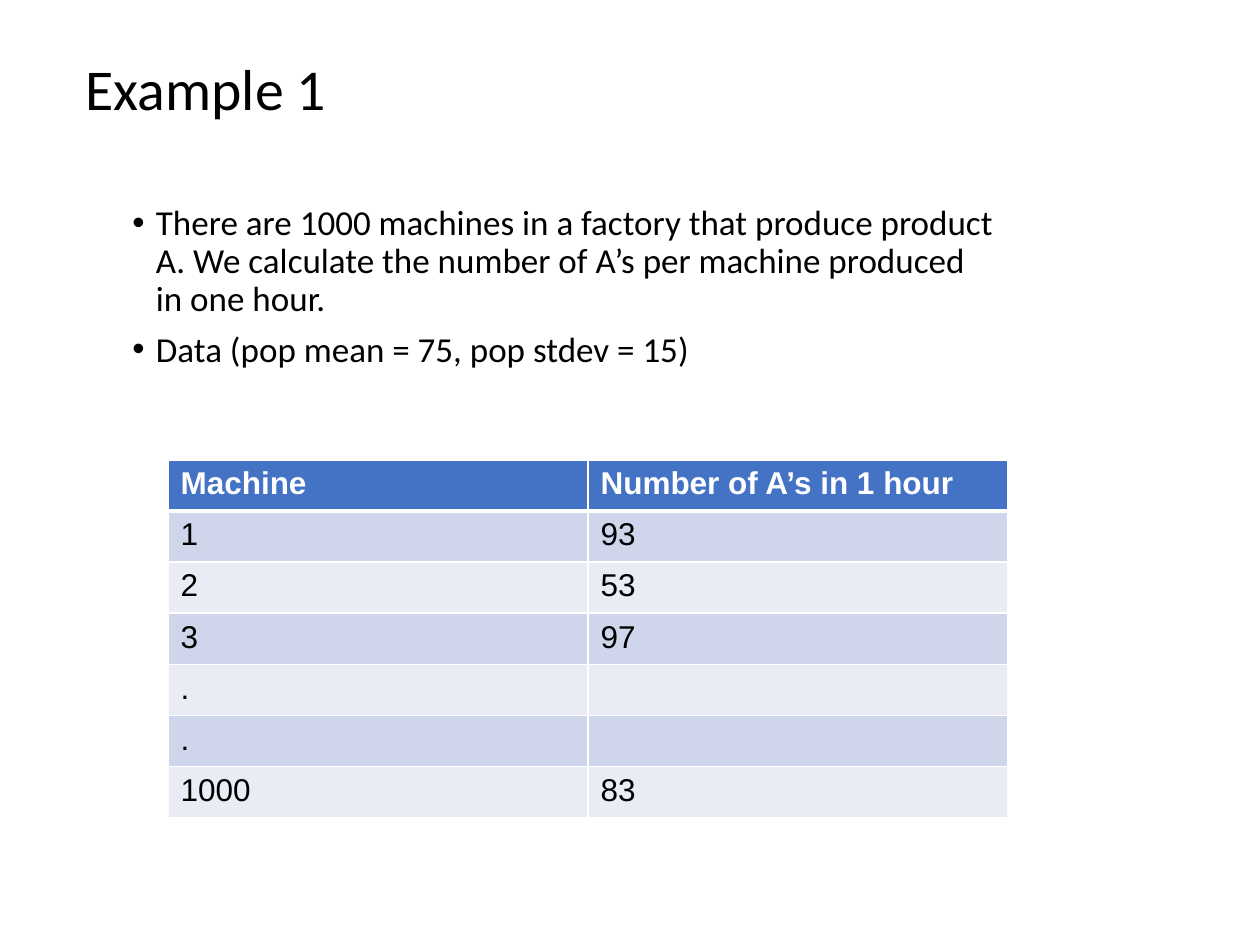
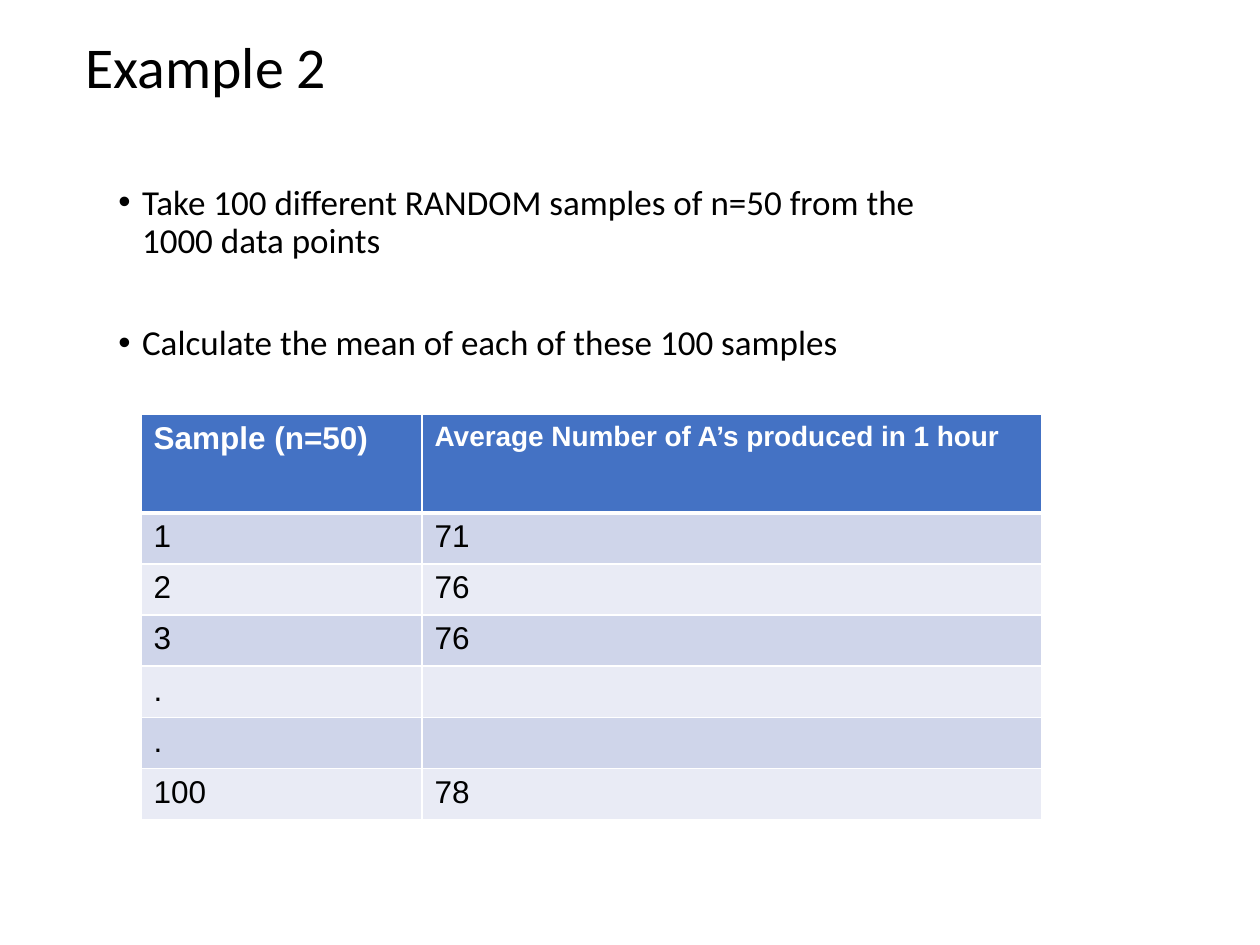
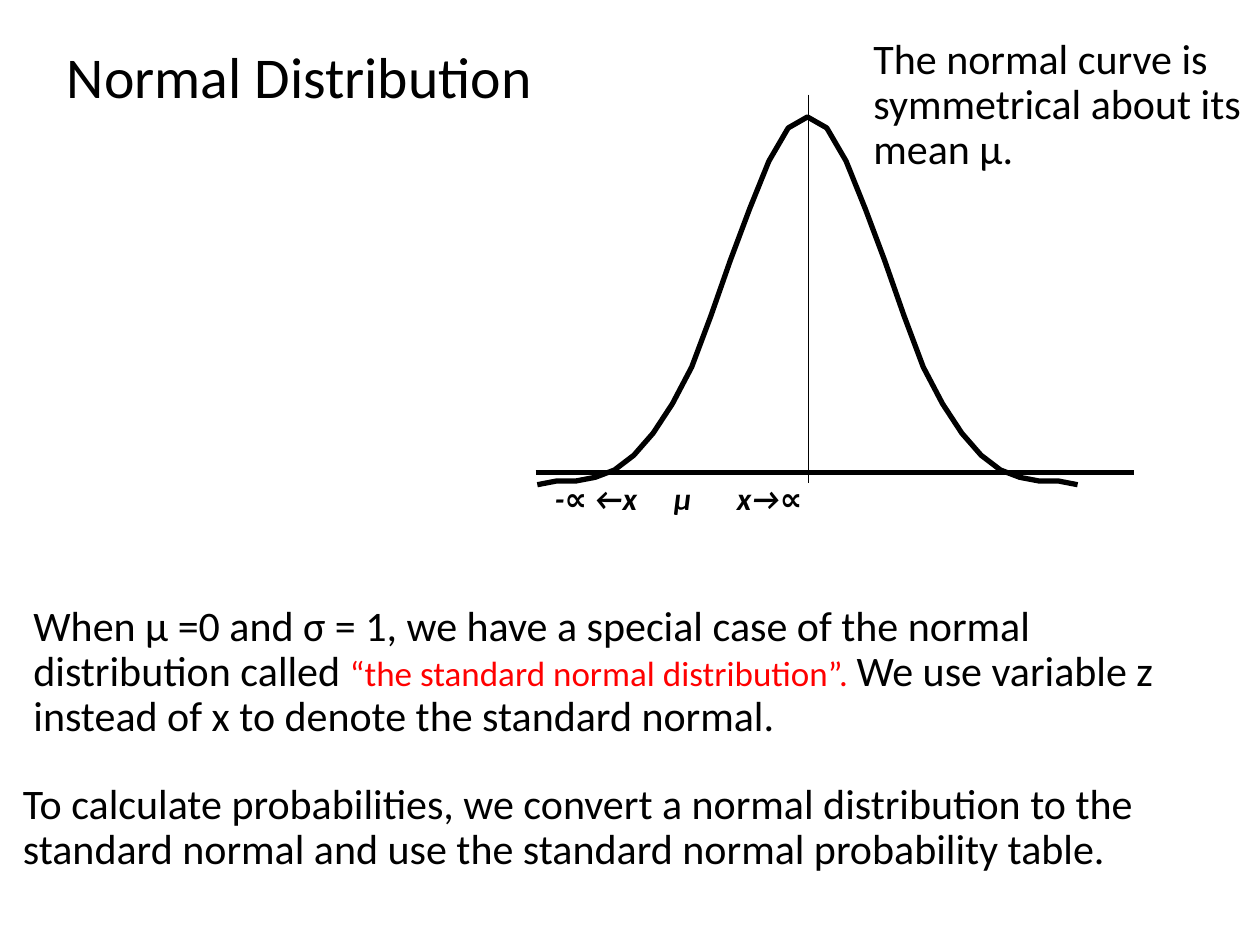
from dataclasses import dataclass

from lxml import etree
from pptx import Presentation
from pptx.chart.data import XyChartData
from pptx.dml.color import RGBColor
from pptx.enum.chart import XL_CHART_TYPE
from pptx.enum.shapes import MSO_CONNECTOR
from pptx.enum.text import MSO_ANCHOR, MSO_AUTO_SIZE, PP_ALIGN
from pptx.oxml import parse_xml
from pptx.oxml.ns import nsdecls, qn
from pptx.util import Pt

SMOOTH = XL_CHART_TYPE.XY_SCATTER_SMOOTH_NO_MARKERS
STRAIGHT = MSO_CONNECTOR.STRAIGHT
MIDDLE, TOP = MSO_ANCHOR.MIDDLE, MSO_ANCHOR.TOP
FIXED = MSO_AUTO_SIZE.NONE
LEFT = PP_ALIGN.LEFT


@dataclass(frozen=True)
class Theme:
    ink: str = "000000"
    paper: str = "FFFFFF"
    accent: str = "FF0000"
    header: str = "4472C4"
    bands: tuple = ("CFD5EA", "E9EBF5")
    font: str = "Calibri"
    grid_font: str = "Arial"
    title: float = 33
    note: float = 24
    body: float = 20
    cell: float = 18
    small: float = 16
    axis: float = 10
    leading: float = 0.9


THEME = Theme()


def write(para, text, size=THEME.body, color=THEME.ink, font=THEME.font,
          bold=False, slant=False):
    run = para.add_run()
    run.text = text
    style = run.font
    style.size, style.name = Pt(size), font
    style.bold, style.italic = bold, slant
    style.color.rgb = RGBColor.from_string(color)


def place(shape, left, top, width, height):
    shape.left, shape.top = Pt(left), Pt(top)
    shape.width, shape.height = Pt(width), Pt(height)


def frame(shape, anchor=TOP):
    box = shape.text_frame
    box.word_wrap = True
    box.auto_size = FIXED
    box.vertical_anchor = anchor
    return box


def space(para, before=0):
    para.alignment = LEFT
    para.line_spacing = THEME.leading
    para.space_before = Pt(before)


def title(slide, text, left, top):
    shape = slide.shapes.title
    place(shape, left, top, 572.4, 104.4)
    para = frame(shape, MIDDLE).paragraphs[0]
    space(para)
    write(para, text, size=THEME.title)


def bullets(slide, items, left, top):
    shape = slide.placeholders[1]
    place(shape, left, top, 507.6, 342.7)
    box = frame(shape)
    for i, (text, before) in enumerate(items):
        para = box.add_paragraph() if i else box.paragraphs[0]
        space(para, before)
        props = para._p.get_or_add_pPr()
        props.set("marL", str(Pt(13.5)))
        props.set("indent", str(-Pt(13.5)))
        write(para, text)


def note(slide, parts, left, top, width):
    shape = slide.shapes.add_textbox(Pt(left), Pt(top), Pt(width), Pt(84))
    para = frame(shape).paragraphs[0]
    space(para, 4.8)
    for text, look in parts:
        write(para, text, **look)


def edge(cell, **widths):
    props = cell._tc.get_or_add_tcPr()
    for side in "LRTB":
        props.append(parse_xml(
            f'<a:ln{side} {nsdecls("a")} w="{Pt(widths.get(side, 1))}"><a:solidFill>'
            f'<a:srgbClr val="{THEME.paper}"/></a:solidFill></a:ln{side}>'))


def table(slide, rows, left, top, widths, head=29.2, sizes=(THEME.cell, THEME.cell)):
    step = 29.2
    height = head + step * (len(rows) - 1)
    grid = slide.shapes.add_table(len(rows), len(widths), Pt(left), Pt(top),
                                  Pt(sum(widths)), Pt(height)).table
    for col, width in zip(grid.columns, widths):
        col.width = Pt(width)
    for r, row in enumerate(rows):
        first = r == 0
        grid.rows[r].height = Pt(head if first else step)
        for c, text in enumerate(row):
            cell = grid.cell(r, c)
            edge(cell, T=3 if r == 1 else 1, B=3 if first else 1)
            fill = THEME.header if first else THEME.bands[(r - 1) % 2]
            cell.fill.solid()
            cell.fill.fore_color.rgb = RGBColor.from_string(fill)
            para = cell.text_frame.paragraphs[0]
            if text:
                write(para, text, size=sizes[c] if first else THEME.cell,
                      color=THEME.paper if first else THEME.ink,
                      font=THEME.grid_font, bold=first)
            else:
                para.font.size = Pt(THEME.cell)


def line(slide, x1, y1, x2, y2, width):
    link = slide.shapes.add_connector(STRAIGHT, Pt(x1), Pt(y1), Pt(x2), Pt(y2))
    link.line.color.rgb = RGBColor.from_string(THEME.ink)
    link.line.width = Pt(width)
    etree.SubElement(link._element.spPr, qn("a:effectLst"))


def fit(chart, **area):
    plot = chart._chartSpace.chart.plotArea
    old = plot.find(qn("c:layout"))
    if old is not None:
        plot.remove(old)
    sizes = "".join(f'<c:{key} val="{val}"/>' for key, val in area.items())
    plot.insert(0, parse_xml(
        f'<c:layout {nsdecls("c")}><c:manualLayout><c:layoutTarget val="inner"/>'
        f'<c:xMode val="edge"/><c:yMode val="edge"/>{sizes}'
        '</c:manualLayout></c:layout>'))


def curve(slide, left, top, width, height):
    rise = [0, 1, 1, 2, 4, 8, 14, 22, 32, 46, 61, 75, 88, 97]
    data = XyChartData()
    points = data.add_series("Series 1")
    for x, y in enumerate(rise + [100] + rise[::-1], 1):
        points.add_data_point(x, y)
    chart = slide.shapes.add_chart(SMOOTH, Pt(left), Pt(top), Pt(width),
                                   Pt(height), data).chart
    chart.has_legend = chart.has_title = False
    chart.font.name, chart.font.size = THEME.font, Pt(THEME.axis)
    chart.font.color.rgb = RGBColor.from_string(THEME.ink)
    chart.plots[0].vary_by_categories = False
    for axis, top_value in ((chart.category_axis, 35), (chart.value_axis, 110)):
        axis.minimum_scale, axis.maximum_scale = 0, top_value
        axis.has_major_gridlines = False
        axis.visible = False
    bell = chart.plots[0].series[0]
    bell.smooth = True
    bell.format.line.width = Pt(3)
    bell.format.line.color.rgb = RGBColor.from_string(THEME.ink)
    fit(chart, x=0.02, y=0.04, w=0.96, h=0.94)


def labels(slide, text, left, top, width, stops):
    shape = slide.shapes.add_textbox(Pt(left), Pt(top), Pt(width), Pt(28.8))
    para = frame(shape).paragraphs[0]
    props = para._p.get_or_add_pPr()
    props.set("indent", str(Pt(4)))
    tabs = etree.SubElement(props, qn("a:tabLst"))
    for stop in stops:
        etree.SubElement(tabs, qn("a:tab"), pos=str(Pt(stop)), algn="l")
    write(para, text, size=THEME.cell, bold=True, slant=True)


def main():
    deck = Presentation()
    deck.slide_width, deck.slide_height = Pt(720), Pt(540)
    listed, titled = deck.slide_layouts[1], deck.slide_layouts[5]

    slide = deck.slides.add_slide(listed)
    title(slide, "Example 1", 41.8, 0)
    bullets(slide, [
        ("There are 1000 machines in a factory that produce product A. We calculate "
         "the number of A’s per machine produced in one hour.", 7.5),
        ("Data (pop mean = 75, pop stdev = 15)", 7.5)], 68.4, 113.8)
    table(slide, [("Machine", "Number of A’s in 1 hour"), ("1", "93"), ("2", "53"),
                  ("3", "97"), (".", ""), (".", ""), ("1000", "83")],
          96, 262.8, (240, 240))

    slide = deck.slides.add_slide(listed)
    title(slide, "Example 2", 41.8, -12.2)
    bullets(slide, [
        ("Take 100 different RANDOM samples of n=50 from the 1000 data points", 7.5),
        ("Calculate the mean of each of these 100 samples", 37)], 60.5, 102.2)
    table(slide, [("Sample (n=50)", "Average Number of A’s produced in 1 hour"),
                  ("1", "71"), ("2", "76"), ("3", "76"), (".", ""), (".", ""),
                  ("100", "78")],
          80.6, 236.9, (160.6, 354.2), head=56.2, sizes=(THEME.cell, THEME.small))

    slide = deck.slides.add_slide(titled)
    title(slide, "Normal Distribution", 31, -6.5)
    large = {"size": THEME.note}
    line(slide, 306, 270, 648, 270, 3)
    note(slide, [
        ("When μ =0 and σ = 1, we have a special case of the normal distribution "
         "called ", large),
        ("“the standard normal distribution”. ", {"color": THEME.accent}),
        ("We use variable z instead of x to denote the standard normal.", large)],
        12, 342, 672)
    curve(slide, 288, 36, 402, 246)
    labels(slide, "-∝ ←x\tμ\tx→∝", 306, 270, 342, (139.7, 247.4))
    line(slide, 462, 54, 462, 276, 0.75)
    note(slide, [("The normal curve is symmetrical about its mean μ.", large)],
         492, 18, 228)
    note(slide, [("To calculate probabilities, we convert a normal distribution to the "
                  "standard normal and use the standard normal probability table.",
                  large)], 6, 444, 672)

    deck.save("out.pptx")


if __name__ == "__main__":
    main()
